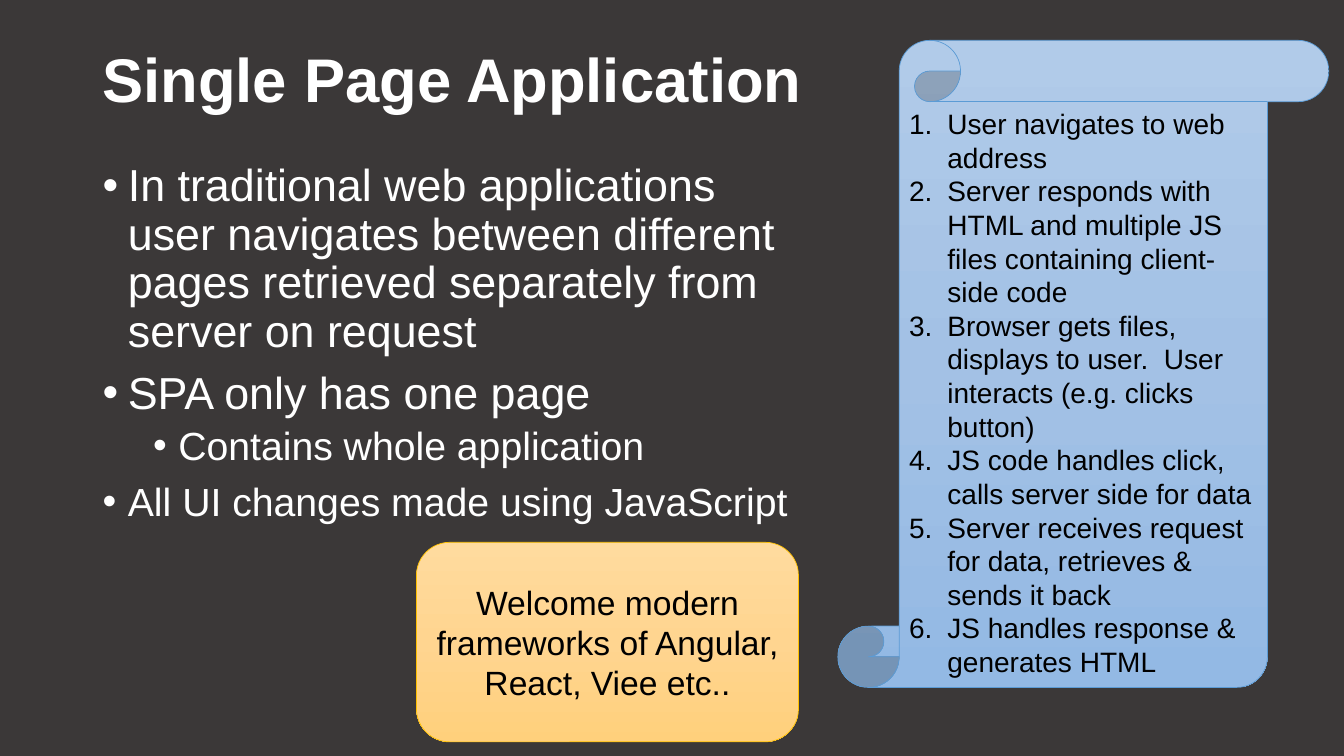
from copy import deepcopy
from lxml import etree
from pptx import Presentation
from pptx.dml.color import RGBColor
from pptx.enum import shapes, text
from pptx.oxml.ns import qn
from pptx.util import Inches, Pt

TITLE = "Single Page Application"
POINTS = [  # text, size, left margin, space before
    ("In traditional web applications user navigates between different "
     "pages retrieved separately from server on request", 32, 0.25, 0),
    ("SPA only has one page", 32, 0.25, 10),
    ("Contains whole application", 28, 0.75, 5),
    ("All UI changes made using JavaScript", 28, 0.25, 10),
]
STEPS = [
    "User navigates to web address",
    "Server responds with HTML and multiple JS files containing client-side code",
    "Browser gets files, displays to user.  User interacts (e.g. clicks button)",
    "JS code handles click, calls server side for data",
    "Server receives request for data, retrieves & sends it back",
    "JS handles response & generates HTML",
]
NOTE = "Welcome modern frameworks of Angular, React, Viee etc.."
COLORS = {
    "back": "3B3838", "light": "FFFFFF", "dark": "000000",
    "scroll": ("B1CBE9", "A3C1E5", "93B9E4"), "rim": "5B9BD5",
    "note": ("FFDB9E", "FFD590", "FFD07C"), "edge": "FFC000",
}


def rgb(name):
    return RGBColor.from_string(COLORS[name])


def setup(frame, anchor):
    frame.word_wrap = True
    frame.vertical_anchor = anchor


def write(par, words, size, color, bold=False):
    run = par.add_run()
    run.text = words
    font = run.font
    font.name, font.size, font.bold = "Arial", Pt(size), bold
    font.color.rgb = rgb(color)


def bullet(par, left, hang, tag, **attrs):
    """Give a paragraph a hanging indent and a bullet or number."""
    props = par._p.get_or_add_pPr()
    props.set("marL", str(Inches(left)))
    props.set("indent", str(-Inches(hang)))
    face = etree.SubElement(props, qn("a:buFont"))
    face.set("typeface", "Arial")
    mark = etree.SubElement(props, qn("a:" + tag))
    for key, val in attrs.items():
        mark.set(key, val)


def lines(frame, items):
    """Yield each item with its own paragraph."""
    for i, item in enumerate(items):
        yield (frame.add_paragraph() if i else frame.paragraphs[0]), item


def panel(kind, box, fill, line):
    """Add a shape with a three-stop gradient running downwards."""
    shape = slide.shapes.add_shape(kind, *map(Inches, box))
    shape.shadow.inherit = False
    shape.fill.gradient()
    shape.fill.gradient_angle = 270
    first = shape._element.spPr.find(".//" + qn("a:gs"))
    first.addnext(deepcopy(first))
    for i, stop in enumerate(shape.fill.gradient_stops):
        stop.position = i / 2
        stop.color.rgb = RGBColor.from_string(COLORS[fill][i])
    shape.line.color.rgb = rgb(line)
    shape.line.width = Pt(0.5)
    return shape.text_frame


prs = Presentation()
prs.slide_width, prs.slide_height = Inches(13.33), Inches(7.5)
slide = prs.slides.add_slide(prs.slide_layouts[6])
slide.background.fill.solid()
slide.background.fill.fore_color.rgb = rgb("back")
top, middle = text.MSO_ANCHOR.TOP, text.MSO_ANCHOR.MIDDLE

head = slide.shapes.add_textbox(*map(Inches, (0.92, 0.09, 11.5, 1.45))).text_frame
setup(head, middle)
head.paragraphs[0].line_spacing = 0.9
write(head.paragraphs[0], TITLE, 44, "light", True)

body = slide.shapes.add_textbox(*map(Inches, (0.92, 1.57, 7.01, 4.76))).text_frame
setup(body, top)
for par, (words, size, left, gap) in lines(body, POINTS):
    bullet(par, left, 0.25, "buChar", char="•")
    par.line_spacing = 0.9
    par.space_before = Pt(gap)
    write(par, words, size, "light")

scroll = panel(shapes.MSO_SHAPE.VERTICAL_SCROLL, (8.31, 0.4, 4.87, 6.42), "scroll", "rim")
setup(scroll, top)
for par, words in lines(scroll, STEPS):
    bullet(par, 0.38, 0.38, "buAutoNum", type="arabicPeriod")
    par.alignment = text.PP_ALIGN.LEFT
    write(par, words, 20, "dark")

note = panel(shapes.MSO_SHAPE.ROUNDED_RECTANGLE, (4.13, 5.38, 3.79, 1.98), "note", "edge")
setup(note, middle)
note.paragraphs[0].alignment = text.PP_ALIGN.CENTER
write(note.paragraphs[0], NOTE, 24, "dark")

prs.save("out.pptx")
